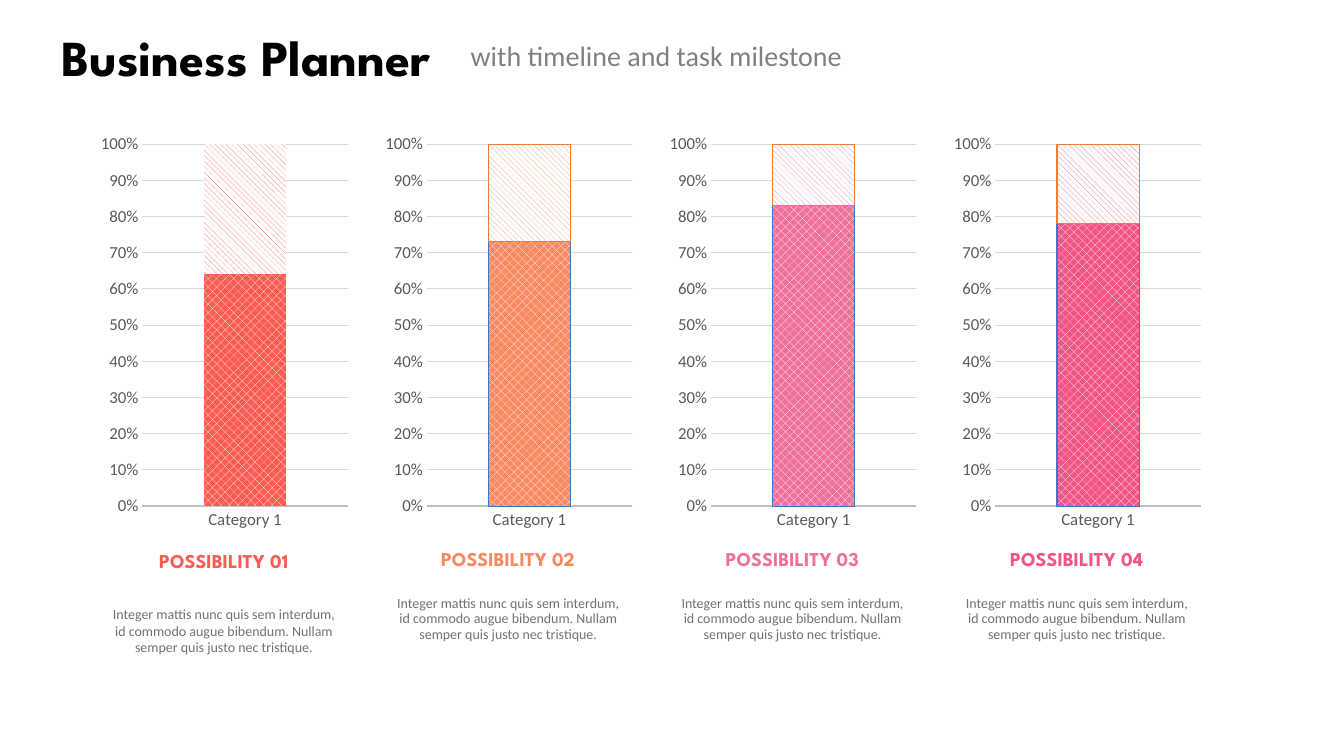
from pptx import Presentation
from pptx.chart.data import CategoryChartData
from pptx.dml.color import RGBColor
from pptx.enum.chart import XL_CHART_TYPE, XL_TICK_MARK
from pptx.enum.dml import MSO_PATTERN
from pptx.enum.text import MSO_ANCHOR, MSO_AUTO_SIZE, PP_ALIGN
from pptx.util import Inches, Pt

STACKED = XL_CHART_TYPE.COLUMN_STACKED_100
NO_TICK = XL_TICK_MARK.NONE
WEAVE = MSO_PATTERN.WEAVE
DIAGONAL = MSO_PATTERN.WIDE_DOWNWARD_DIAGONAL
TOP, MIDDLE = MSO_ANCHOR.TOP, MSO_ANCHOR.MIDDLE
LEFT, CENTER = PP_ALIGN.LEFT, PP_ALIGN.CENTER
FIXED = MSO_AUTO_SIZE.NONE

COLORS = {
    "black": "000000", "white": "FFFFFF", "subtitle": "808080",
    "body": "767171", "label": "595959", "axis": "BFBFBF", "grid": "D9D9D9",
    "blue": "4472C4", "orange": "ED7D31",
    "red": "FA5B52", "peach": "F88960", "pink": "EF709D", "rose": "F25484",
}
HEADING_FONT, BODY_FONT = "League Spartan", "Calibri"
DESCRIPTION = ("Integer mattis nunc quis sem interdum, id commodo augue "
               "bibendum. Nullam semper quis justo nec tristique.")

# Colour and filled percentage of each possibility
POSSIBILITIES = [("red", 64), ("peach", 73), ("pink", 83), ("rose", 78)]
FIRST_LEFT, COLUMN_STEP = 0.95, 2.82


def rgb(name):
    return RGBColor.from_string(COLORS[name])


class PlannerSlide:
    def __init__(self, deck):
        self.page = deck.slides.add_slide(deck.slide_layouts[5])

    def set_font(self, font, color, **values):
        for name, value in values.items():
            setattr(font, name, value)
        font.color.rgb = rgb(color)

    def place(self, box, area):
        sides = ("left", "top", "width", "height")
        for side, length in zip(sides, area):
            setattr(box, side, Inches(length))

    def fill_text(self, box, text, color, size, name=BODY_FONT, bold=False,
                  align=CENTER, anchor=MIDDLE, spacing=1.0):
        frame = box.text_frame
        settings = {"word_wrap": True, "auto_size": FIXED,
                    "vertical_anchor": anchor}
        for key, value in settings.items():
            setattr(frame, key, value)
        para = frame.paragraphs[0]
        para.alignment, para.line_spacing = align, spacing
        span = para.add_run()
        span.text = text
        self.set_font(span.font, color, name=name, size=Pt(size), bold=bold)

    def title(self, area, text):
        box = self.page.shapes.title
        self.place(box, area)
        self.fill_text(box, text, "black", 36, HEADING_FONT, True)

    def text(self, area, text, color, size, **style):
        box = self.page.shapes.add_textbox(*map(Inches, area))
        self.fill_text(box, text, color, size, **style)

    def pattern(self, series, kind, front, back, outline):
        fill = series.format.fill
        fill.patterned()
        fill.pattern = kind
        fill.fore_color.rgb, fill.back_color.rgb = rgb(front), rgb(back)
        line = series.format.line
        if outline:
            line.color.rgb = rgb(outline)
            line.width = Pt(0.75)
        else:
            line.fill.background()

    def chart(self, area, color, value, outlines):
        data = CategoryChartData()
        data.categories = ["Category 1"]
        data.add_series("Series 1", [value])
        data.add_series("Series 2", [100 - value])
        frame = self.page.shapes.add_chart(STACKED, *map(Inches, area), data)
        chart = frame.chart
        chart.has_legend = chart.has_title = False
        self.set_font(chart.font, "black", name=BODY_FONT, size=Pt(10))

        # Bars
        plot = chart.plots[0]
        plot.gap_width, plot.overlap = 150, 100
        plot.vary_by_categories = False
        done, remaining = plot.series
        self.pattern(done, WEAVE, "white", color, outlines[0])
        self.pattern(remaining, DIAGONAL, color, "white", outlines[1])

        # Axes and gridlines
        for axis in (chart.category_axis, chart.value_axis):
            axis.major_tick_mark = axis.minor_tick_mark = NO_TICK
            self.set_font(axis.tick_labels.font, "label",
                          name=BODY_FONT, size=Pt(12))
        base = chart.category_axis.format.line
        base.color.rgb, base.width = rgb("axis"), Pt(1.5)
        scale = chart.value_axis
        scale.format.line.fill.background()
        scale.tick_labels.number_format = "0%"
        scale.tick_labels.number_format_is_linked = False
        grid = scale.major_gridlines.format.line
        grid.color.rgb, grid.width = rgb("grid"), Pt(0.75)


def main():
    deck = Presentation()
    deck.slide_width, deck.slide_height = Inches(13.33), Inches(7.5)
    planner = PlannerSlide(deck)

    # Heading
    planner.title((0.32, 0.26, 4.24, 0.6), "Business Planner")
    planner.text((4.57, 0.33, 4.7, 0.44), "with timeline and task milestone",
                 "subtitle", 20, align=LEFT)

    # One chart with its caption and description per possibility
    for index, (color, value) in enumerate(POSSIBILITIES):
        first = index == 0
        left = FIRST_LEFT + index * COLUMN_STEP
        outlines = (None, None) if first else ("blue", "orange")
        spacing = 1.0 if first else 0.9
        planner.chart((left, 1.25, 2.55, 4.09), color, value, outlines)
        planner.text((left + 0.07, 5.34, 2.4, 0.44),
                     f"POSSIBILITY {index + 1:02}", color, 14,
                     name=HEADING_FONT, bold=True, spacing=spacing)
        planner.text((left + 0.07, 5.87, 2.4, 0.77), DESCRIPTION, "body", 10,
                     anchor=MIDDLE if first else TOP, spacing=spacing)

    deck.save("out.pptx")


if __name__ == "__main__":
    main()
